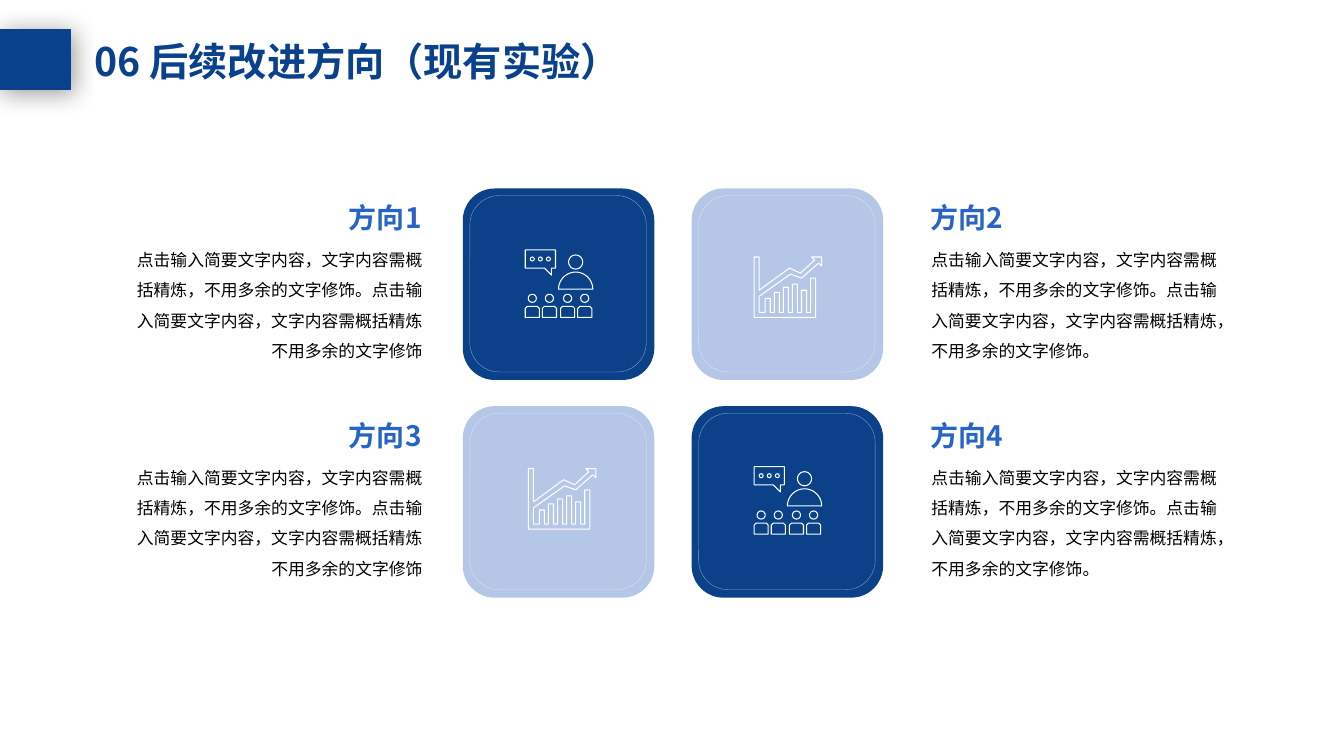
from dataclasses import dataclass
from math import cos, pi, sin

from pptx import Presentation
from pptx.dml.color import RGBColor
from pptx.enum.shapes import MSO_SHAPE as SHAPE
from pptx.enum.text import MSO_AUTO_SIZE as AUTO, PP_ALIGN as ALIGN
from pptx.oxml.ns import qn
from pptx.util import Pt
from lxml.etree import SubElement

PX = 9144  # one px is a hundredth of an inch


@dataclass(frozen=True)
class Theme:
    title: str = "0A418D"
    heading: str = "2863C7"
    text: str = "000000"
    dark: str = "0B4189"
    light: str = "B4C7E7"
    white: str = "FFFFFF"
    font: str = "Noto Sans CJK SC"
    body_font: str = "Roboto"
    title_size: int = 28
    heading_size: int = 20
    body_size: int = 12


T = Theme()
LEFT_BODY = ("点击输入简要文字内容，文字内容需概括精炼，不用多余的文字修饰。"
             "点击输入简要文字内容，文字内容需概括精炼不用多余的文字修饰")
RIGHT_BODY = ("点击输入简要文字内容，文字内容需概括精炼，不用多余的文字修饰。"
              "点击输入简要文字内容，文字内容需概括精炼，不用多余的文字修饰。")


def emu(*lengths):
    return [round(v * PX) for v in lengths]


def style(s, fill=None, line=None, width=1, alpha=None):
    s.shadow.inherit = False
    if fill:
        s.fill.solid()
        s.fill.fore_color.rgb = RGBColor.from_string(fill)
    else:
        s.fill.background()
    if line:
        s.line.color.rgb = RGBColor.from_string(line)
        s.line.width = Pt(width)
    else:
        s.line.fill.background()
    if alpha:
        color = s.line._get_or_add_ln().find(".//" + qn("a:srgbClr"))
        SubElement(color, qn("a:alpha"), val=str(alpha * 1000))


def add_box(slide, kind, box, **fmt):
    s = slide.shapes.add_shape(kind, *emu(*box))
    style(s, **fmt)
    return s


def add_text(slide, text, box, size, color, font=T.font, bold=False,
             align=ALIGN.LEFT, spacing=None):
    tf = slide.shapes.add_textbox(*emu(*box)).text_frame
    tf.word_wrap = True
    tf.auto_size = AUTO.SHAPE_TO_FIT_TEXT
    p = tf.paragraphs[0]
    p.alignment = align
    p.line_spacing = spacing
    r = p.add_run()
    r.text = text
    r.font.size, r.font.bold, r.font.name = Pt(size), bold, font
    r.font.color.rgb = RGBColor.from_string(color)
    SubElement(r.font._element, qn("a:ea"), typeface=T.font)


def add_outline(slide, x, y, contours, fill=None):
    """Draw closed contours, given relative to (x, y), as one white outline."""
    placed = [[emu(x + px, y + py) for px, py in c] for c in contours]
    builder = slide.shapes.build_freeform(*placed[0][0], scale=1.0)
    for i, (start, *rest) in enumerate(placed):
        if i:
            builder.move_to(*start)
        builder.add_line_segments(rest, close=True)
    style(builder.convert_to_shape(), fill=fill, line=T.white, width=0.75)


def arc(cx, cy, radius, sweep=2 * pi, steps=24):
    angles = [pi + sweep * i / steps for i in range(steps + 1)]
    return [(cx + radius * cos(a), cy + radius * sin(a)) for a in angles]


def meeting_icon(slide, x, y):
    # Speech bubble with dots, then the speaker
    contours = [[(0, 0), (30, 0), (30, 18), (26, 18), (26, 25), (19, 18), (0, 18)]]
    contours += [arc(cx, 9, 2, steps=8) for cx in (7, 15, 23)]
    contours += [arc(50, 12, 7), arc(50, 39, 17, sweep=pi)]
    # Audience
    for i in range(4):
        left = 35 * i // 2
        contours.append(arc(left + 7, 48, 4))
        contours.append([(left, 67), (left, 58), (left + 2, 56), (left + 12, 56),
                         (left + 14, 58), (left + 14, 67)])
    add_outline(slide, x, y, contours, fill=T.dark)


def chart_icon(slide, x, y):
    # Axes and rising arrow
    points = [(61, 60), (0, 60), (0, 0), (5, 0), (5, 33), (35, 11), (46, 16),
              (60, 3), (57, 0), (67, 0), (67, 9), (64, 6), (47, 21), (36, 17),
              (5, 39), (5, 55)]
    # Bars; the last one runs into the frame
    for i, top in enumerate((41, 35, 30, 27, 33, 21)):
        left = 11 + 9 * i
        points += [(left, 55), (left, top), (left + 5, top), (left + 5, 55)]
    add_outline(slide, x, y, [points[:-1]])


def header(slide, x, y, w, h):
    s = add_box(slide, SHAPE.RECTANGLE, (x, y, 70, h), fill=T.title, line=T.title)
    effects = s._element.spPr.find(qn("a:effectLst"))
    shadow = SubElement(effects, qn("a:outerShdw"), blurRad=str(Pt(18)),
                        dist=str(Pt(3)), dir="2700000", algn="tl", rotWithShape="0")
    color = SubElement(shadow, qn("a:srgbClr"), val="000000")
    SubElement(color, qn("a:alpha"), val="40000")
    add_text(slide, "06 后续改进方向（现有实验）", (x + 84, y + 3, w - 84, 57),
             T.title_size, T.title, bold=True)


def tile(slide, x, y, size, fill, icon, dx, dy):
    add_box(slide, SHAPE.ROUNDED_RECTANGLE, (x, y, size, size), fill=fill)
    add_box(slide, SHAPE.ROUNDED_RECTANGLE, (x + 7, y + 7, size - 15, size - 15),
            line=T.white, width=0.25, alpha=52)
    icon(slide, x + dx, y + dy)


def caption(slide, x, y, w, heading, body, align):
    heading_x = x + w - 211 if align == ALIGN.RIGHT else x - 1
    add_text(slide, heading, (heading_x, y + 7, 210, 44), T.heading_size,
             T.heading, bold=True, align=align)
    add_text(slide, body, (x, y + 46, w, 128), T.body_size, T.text,
             font=T.body_font, align=align, spacing=1.5)


def directions(slide, x, y, w):
    sides = ((x, LEFT_BODY, ALIGN.RIGHT), (x + w - 316, RIGHT_BODY, ALIGN.LEFT))
    tiles = ((T.dark, meeting_icon, 62, 61), (T.light, chart_icon, 62, 68),
             (T.light, chart_icon, 65, 62), (T.dark, meeting_icon, 62, 60))
    for i, look in enumerate(tiles):
        row, col = divmod(i, 2)
        top = y + 216 * row
        caption_x, body, align = sides[col]
        tile(slide, x + 346 + 227 * col, top, 190, *look)
        caption(slide, caption_x, top, 316, f"方向{i + 1}", body, align)


def main():
    prs = Presentation()
    prs.slide_width, prs.slide_height = emu(1333, 750)
    slide = prs.slides.add_slide(prs.slide_layouts[6])
    header(slide, 0, 29, 808, 60)
    directions(slide, 113, 187, 1117)
    prs.save("out.pptx")


if __name__ == "__main__":
    main()
